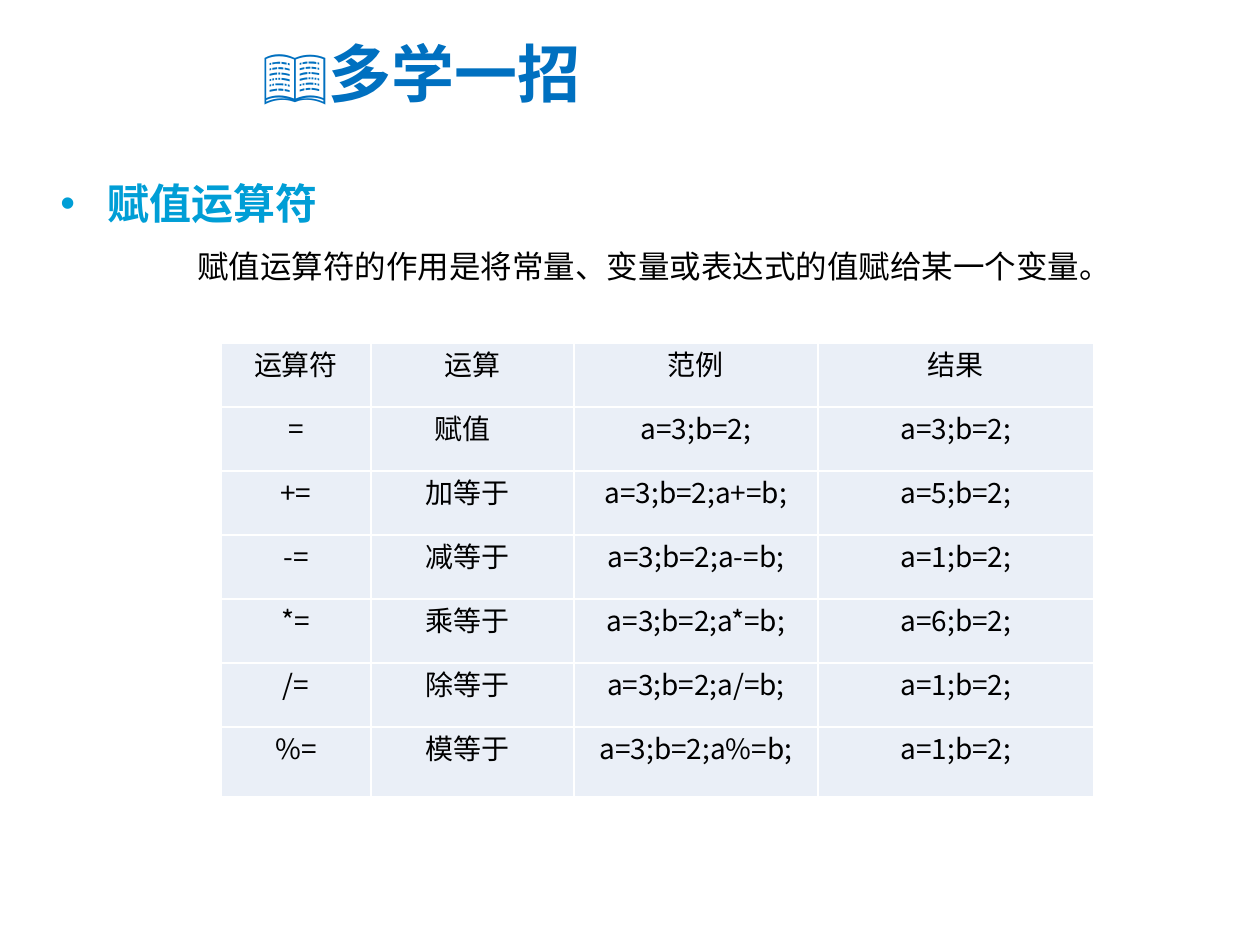
from dataclasses import dataclass

from lxml.etree import SubElement
from pptx import Presentation
from pptx.dml.color import RGBColor
from pptx.enum.text import MSO_ANCHOR as Anchor
from pptx.enum.text import MSO_AUTO_SIZE as AutoSize
from pptx.enum.text import PP_ALIGN as Align
from pptx.oxml.ns import qn
from pptx.util import Emu, Pt

BLACK = RGBColor(0x00, 0x00, 0x00)
WHITE = RGBColor(0xFF, 0xFF, 0xFF)
TITLE_BLUE = RGBColor(0x00, 0x70, 0xC0)
HEADING_BLUE = RGBColor(0x00, 0x9E, 0xD6)
CELL_FILL = RGBColor(0xEA, 0xEF, 0xF7)
FONT = "Noto Sans CJK SC"
TITLE_ONLY = 5
COLUMNS = [150, 203, 244, 276]
ROW_HEIGHT, LAST_ROW_HEIGHT = 64, 70


@dataclass
class Box:
    left: int
    top: int
    width: int
    height: int


@dataclass
class Style:
    size: int
    color: RGBColor
    bold: bool = False
    margin: int = 0
    indent: int = 0
    align: Align = Align.LEFT
    bullet: str = ""
    spacing: float = 1.0


@dataclass
class Operator:
    symbol: str
    meaning: str
    example: str
    result: str


HEADER = Operator("运算符", "运算", "范例", "结果")
OPERATORS = [
    Operator("=", "赋值", "a=3;b=2;", "a=3;b=2;"),
    Operator("+=", "加等于", "a=3;b=2;a+=b;", "a=5;b=2;"),
    Operator("-=", "减等于", "a=3;b=2;a-=b;", "a=1;b=2;"),
    Operator("*=", "乘等于", "a=3;b=2;a*=b;", "a=6;b=2;"),
    Operator("/=", "除等于", "a=3;b=2;a/=b;", "a=1;b=2;"),
    Operator("%=", "模等于", "a=3;b=2;a%=b;", "a=1;b=2;"),
]


def px(length: int) -> Emu:
    return Emu(round(length * 914400 / 126))


def area(box: Box) -> tuple:
    return px(box.left), px(box.top), px(box.width), px(box.height)


def write(frame, text: str, style: Style) -> None:
    paragraph = frame.paragraphs[0]
    properties = paragraph._p.get_or_add_pPr()
    properties.set("marL", str(px(style.margin)))
    properties.set("indent", str(px(style.indent)))
    if style.bullet:
        SubElement(properties, qn("a:buFont")).set("typeface", "Arial")
        SubElement(properties, qn("a:buChar")).set("char", style.bullet)
    paragraph.alignment = style.align
    paragraph.line_spacing = style.spacing
    paragraph.space_before = Pt(0)
    run = paragraph.add_run()
    run.text = text
    run.font.size = Pt(style.size)
    run.font.bold = style.bold
    run.font.color.rgb = style.color
    run.font.name = FONT
    SubElement(run._r.get_or_add_rPr(), qn("a:ea")).set("typeface", FONT)


def add_text(slide, box: Box, text: str, style: Style, wrap: bool) -> None:
    frame = slide.shapes.add_textbox(*area(box)).text_frame
    frame.word_wrap = wrap
    frame.auto_size = AutoSize.SHAPE_TO_FIT_TEXT
    write(frame, text, style)


def set_borders(cell, color: RGBColor) -> None:
    properties = cell._tc.get_or_add_tcPr()
    for side in ("lnL", "lnR", "lnT", "lnB"):
        line = SubElement(properties, qn(f"a:{side}"), w=str(Pt(1)))
        fill = SubElement(line, qn("a:solidFill"))
        SubElement(fill, qn("a:srgbClr"), val=str(color))


def fill_cell(cell, text: str, style: Style) -> None:
    cell.margin_left = cell.margin_right = px(9)
    cell.margin_top = cell.margin_bottom = 0
    cell.vertical_anchor = Anchor.TOP
    set_borders(cell, WHITE)
    cell.fill.solid()
    cell.fill.fore_color.rgb = CELL_FILL
    write(cell.text_frame, text, style)


def add_operator_table(slide, left: int, top: int) -> None:
    heights = [ROW_HEIGHT] * len(OPERATORS) + [LAST_ROW_HEIGHT]
    box = Box(left, top, sum(COLUMNS), sum(heights))
    table = slide.shapes.add_table(len(heights), len(COLUMNS), *area(box)).table
    table.first_row = table.horz_banding = False
    for column, width in zip(table.columns, COLUMNS):
        column.width = px(width)
    for row, height in zip(table.rows, heights):
        row.height = px(height)

    centred = Style(16, BLACK, align=Align.CENTER)
    for r, operator in enumerate([HEADER, *OPERATORS]):
        # Meanings below the header are indented instead of centred
        indent = 55 if len(operator.meaning) == 2 else 46
        indented = Style(16, BLACK, indent=indent, align=Align.JUSTIFY)
        meaning_style = centred if operator is HEADER else indented
        fill_cell(table.cell(r, 0), operator.symbol, centred)
        fill_cell(table.cell(r, 1), operator.meaning, meaning_style)
        fill_cell(table.cell(r, 2), operator.example, centred)
        fill_cell(table.cell(r, 3), operator.result, centred)


def main() -> None:
    deck = Presentation()
    deck.slide_width, deck.slide_height = px(1260), px(945)
    slide = deck.slides.add_slide(deck.slide_layouts[TITLE_ONLY])

    # Title
    title = slide.shapes.title
    title.left, title.top, title.width, title.height = area(Box(250, 19, 422, 106))
    title.text_frame.word_wrap = True
    title.text_frame.auto_size = AutoSize.NONE
    title.text_frame.vertical_anchor = Anchor.MIDDLE
    write(title.text_frame, "📖多学一招",
          Style(36, TITLE_BLUE, bold=True, margin=78, indent=-78))

    # Heading and explanation
    add_text(slide, Box(48, 146, 286, 89), "赋值运算符",
             Style(24, HEADING_BLUE, bold=True, margin=47, indent=-47,
                   bullet="•", spacing=1.5), wrap=False)
    add_text(slide, Box(122, 241, 1051, 51),
             "赋值运算符的作用是将常量、变量或表达式的值赋给某一个变量。",
             Style(18, BLACK, indent=63), wrap=True)

    # Assignment operators
    add_operator_table(slide, 221, 343)

    deck.save("out.pptx")


if __name__ == "__main__":
    main()
